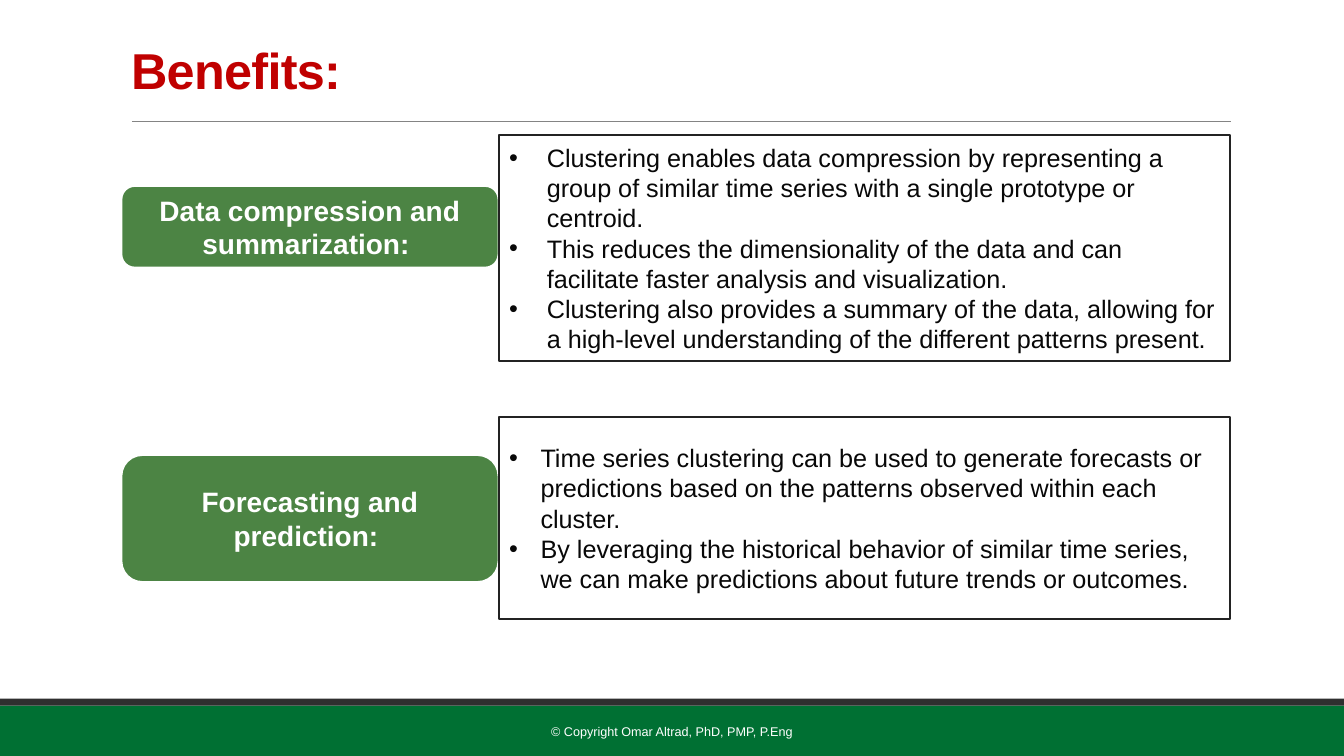
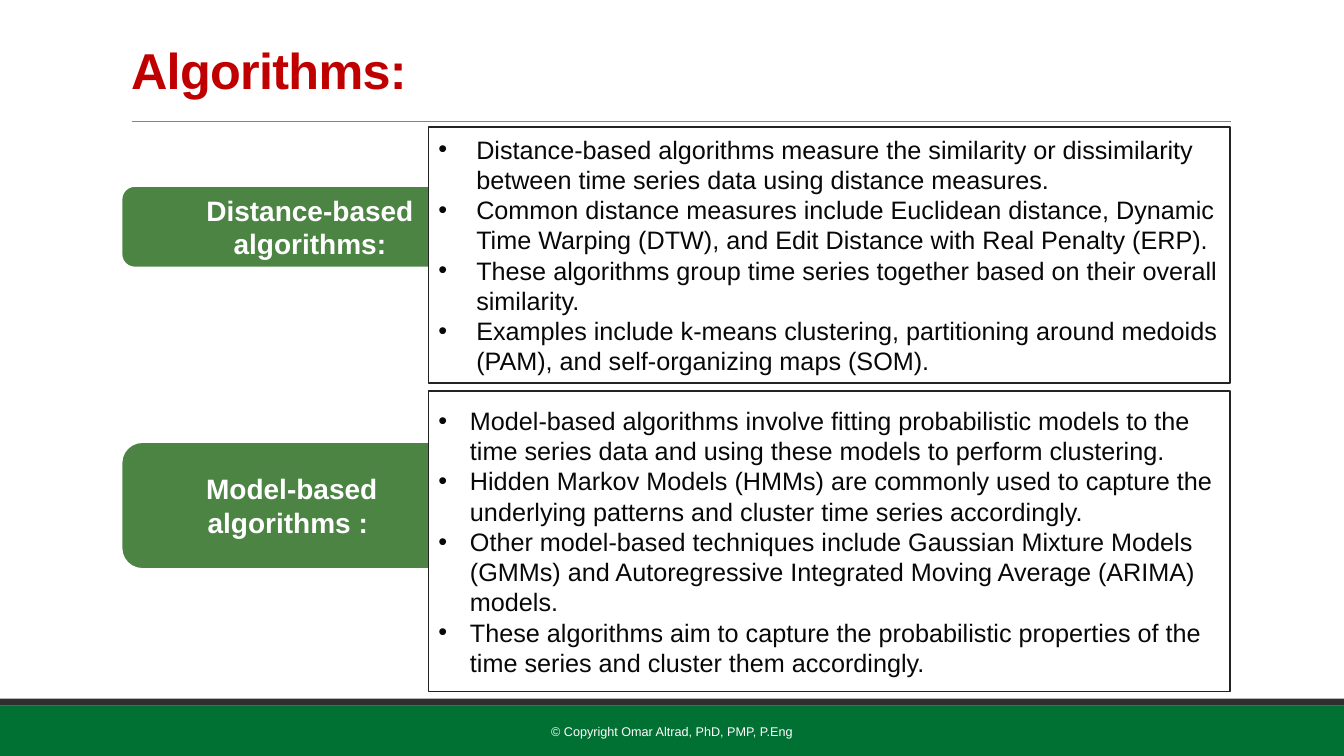
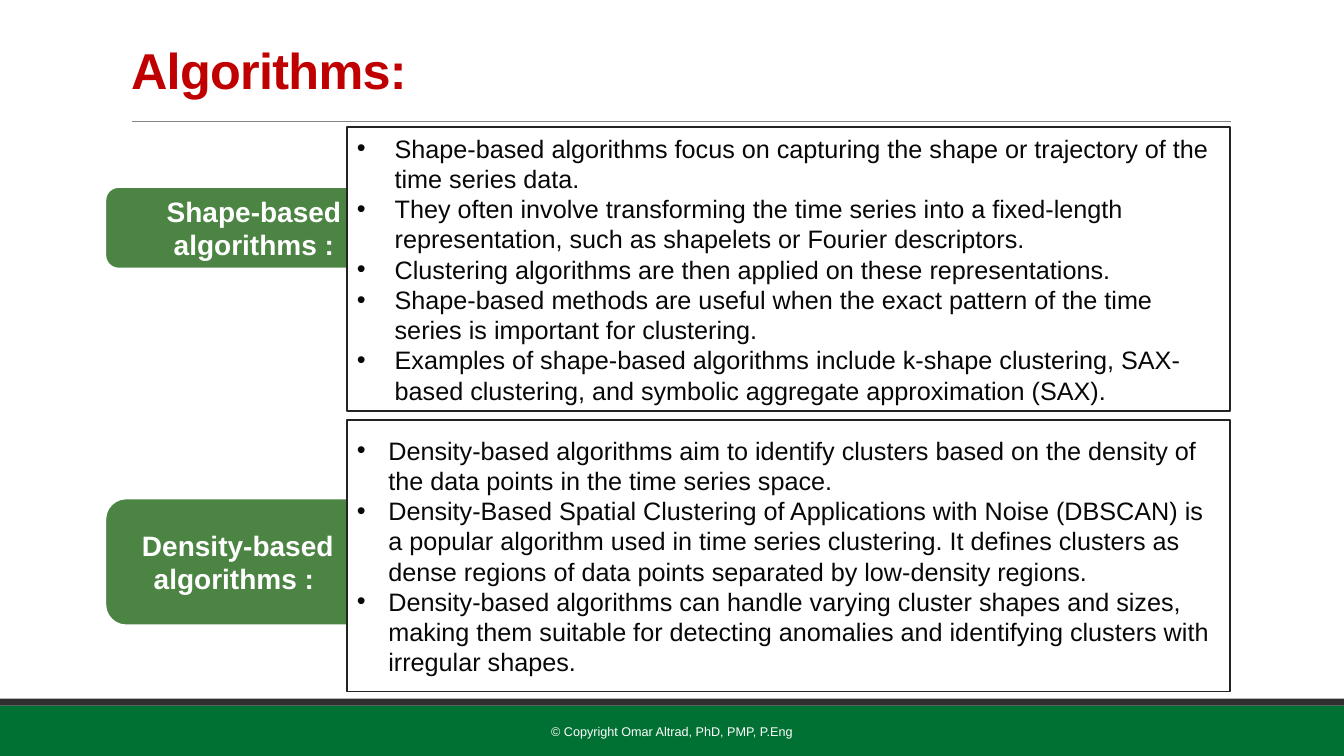
"""Build three slides on the benefits and algorithms of time series clustering."""
from dataclasses import dataclass

from lxml import etree
from pptx import Presentation
from pptx.dml.color import RGBColor
from pptx.enum.shapes import MSO_CONNECTOR, MSO_SHAPE
from pptx.enum.text import MSO_ANCHOR, MSO_AUTO_SIZE, PP_ALIGN
from pptx.oxml.ns import qn
from pptx.util import Pt

RECT, ROUND = MSO_SHAPE.RECTANGLE, MSO_SHAPE.ROUNDED_RECTANGLE
LINE = MSO_CONNECTOR.STRAIGHT
MIDDLE, NO_FIT = MSO_ANCHOR.MIDDLE, MSO_AUTO_SIZE.NONE
LEFT, CENTER = PP_ALIGN.LEFT, PP_ALIGN.CENTER
TWO_LISTS = 3


@dataclass(frozen=True)
class Theme:
    font: str = "Arial"
    red: str = "C00000"
    green: str = "007033"
    leaf: str = "4C8444"
    dark: str = "2F2F2F"
    edge: str = "232323"
    gray: str = "848484"
    ink: str = "080808"
    white: str = "FFFFFF"
    title: int = 36
    label: int = 20
    body: int = 18
    foot: int = 9


@dataclass(frozen=True)
class Panel:
    label: str
    top: float
    width: float
    list_top: float
    list_height: float
    points: tuple


@dataclass(frozen=True)
class Page:
    title: str
    label_left: float
    list_left: float
    panels: tuple


THEME = Theme()
WIDTH, HEIGHT = 960, 540
RIGHT = 878.4
TITLE_AREA = 86.4, 22.3, 792, 61.9
FOOT_AREA = 290.2, 508.3, 379.4, 28.8
LABEL_HEIGHTS = 59, 91.4
INDENTS = 27, 22.5
FOOT = "© Copyright Omar Altrad, PhD, PMP, P.Eng"

PAGES = (
    Page("Benefits:", 86.4, 356.4, (
        Panel("Data compression and summarization: ", 132.5, 270, 96.5, 161.3, (
            "Clustering enables data compression by representing a group of similar time series with a single prototype or centroid.",
            "This reduces the dimensionality of the data and can facilitate faster analysis and visualization.",
            "Clustering also provides a summary of the data, allowing for a high-level understanding of the different patterns present.",
        )),
        Panel("Forecasting and prediction: ", 324.7, 270, 298.1, 144, (
            "Time series clustering can be used to generate forecasts or predictions based on the patterns observed within each cluster.",
            "By leveraging the historical behavior of similar time series, we can make predictions about future trends or outcomes.",
        )),
    )),
    Page("Algorithms:", 86.4, 306, (
        Panel("Distance-based algorithms:", 132.5, 270, 90.7, 182.9, (
            "Distance-based algorithms measure the similarity or dissimilarity between time series data using distance measures.",
            "Common distance measures include Euclidean distance, Dynamic Time Warping (DTW), and Edit Distance with Real Penalty (ERP).",
            "These algorithms group time series together based on their overall similarity.",
            "Examples include k-means clustering, partitioning around medoids (PAM), and self-organizing maps (SOM).",
        )),
        Panel("Model-based algorithms : ", 315.4, 244.1, 279.4, 214.6, (
            "Model-based algorithms involve fitting probabilistic models to the time series data and using these models to perform clustering.",
            "Hidden Markov Models (HMMs) are commonly used to capture the underlying patterns and cluster time series accordingly.",
            "Other model-based techniques include Gaussian Mixture Models (GMMs) and Autoregressive Integrated Moving Average (ARIMA) models.",
            "These algorithms aim to capture the probabilistic properties of the time series and cluster them accordingly.",
        )),
    )),
    Page("Algorithms:", 74.9, 247.7, (
        Panel("Shape-based algorithms :", 133.2, 213.1, 90.7, 203, (
            "Shape-based algorithms focus on capturing the shape or trajectory of the time series data.",
            "They often involve transforming the time series into a fixed-length representation, such as shapelets or Fourier descriptors.",
            "Clustering algorithms are then applied on these representations.",
            "Shape-based methods are useful when the exact pattern of the time series is important for clustering.",
            "Examples of shape-based algorithms include k-shape clustering, SAX-based clustering, and symbolic aggregate approximation (SAX).",
        )),
        Panel("Density-based algorithms : ", 355.7, 190.1, 300.2, 193.7, (
            "Density-based algorithms aim to identify clusters based on the density of the data points in the time series space.",
            "Density-Based Spatial Clustering of Applications with Noise (DBSCAN) is a popular algorithm used in time series clustering. It defines clusters as dense regions of data points separated by low-density regions.",
            "Density-based algorithms can handle varying cluster shapes and sizes, making them suitable for detecting anomalies and identifying clusters with irregular shapes.",
        )),
    )),
)


def rgb(code):
    """Turn a hex code into a colour."""
    return RGBColor.from_string(code)


def write(shape, *lines, size, color, bold=False, align=LEFT,
          indent=0, space=1.0, track=0):
    """Fill a shape with one paragraph per line of text."""
    frame = shape.text_frame
    frame.word_wrap = True
    frame.auto_size = NO_FIT
    frame.vertical_anchor = MIDDLE
    for i, line in enumerate(lines):
        para = frame.add_paragraph() if i else frame.paragraphs[0]
        para.alignment = align
        para.line_spacing = space
        para.space_before = Pt(0)
        if indent:
            props = para._p.get_or_add_pPr()
            props.set("marL", str(Pt(indent)))
            props.set("indent", str(-Pt(indent)))
        run = para.add_run()
        run.text = line
        font = run.font
        font.name, font.size, font.bold = THEME.font, Pt(size), bold
        font.color.rgb = rgb(color)
        if track:
            run._r.get_or_add_rPr().set("spc", str(round(track * 100)))


def place(shape, area):
    """Move and size a shape."""
    shape.left, shape.top, shape.width, shape.height = map(Pt, area)


def paint(shape, fill, edge=None, weight=0):
    """Set the fill and the outline of a shape."""
    shape.fill.solid()
    shape.fill.fore_color.rgb = rgb(fill)
    if edge:
        shape.line.color.rgb = rgb(edge)
        shape.line.width = Pt(weight)
    else:
        shape.line.fill.background()


def block(slide, kind, area, fill, edge=None, weight=0):
    """Add a flat preset shape."""
    shape = slide.shapes.add_shape(kind, *map(Pt, area))
    shape.shadow.inherit = False
    paint(shape, fill, edge, weight)
    return shape


def rule(slide, ends, color, weight):
    """Add a flat straight line."""
    line = slide.shapes.add_connector(LINE, *map(Pt, ends))
    line.line.color.rgb = rgb(color)
    line.line.width = Pt(weight)
    etree.SubElement(line.element.spPr, qn("a:effectLst"))
    return line


def frame_up(layout, slide):
    """Give the layout its title place, bands and rule, drawn by way of a slide."""
    for holder in list(layout.placeholders)[3:]:
        holder.element.getparent().remove(holder.element)
    place(layout.placeholders[0], TITLE_AREA)
    parts = (
        block(slide, RECT, (0, 504, WIDTH, 36), THEME.green),
        block(slide, RECT, (0, 499, WIDTH, 5), THEME.dark),
        rule(slide, (94.3, 86.4, 879.1, 86.4), THEME.gray, 0.5),
    )
    for part in parts:
        layout.shapes.element.append(part.element)


def add_panel(slide, page, panel, box, height, indent):
    """Set a bullet list in its box, with a label tucked behind it."""
    place(box, (page.list_left, panel.list_top,
                RIGHT - page.list_left, panel.list_height))
    paint(box, THEME.white, THEME.edge, 1.25)
    write(box, *panel.points, size=THEME.body, color=THEME.ink, indent=indent)
    area = page.label_left, panel.top, panel.width, height
    label = block(slide, ROUND, area, THEME.leaf, THEME.white, 2)
    write(label, panel.label, size=THEME.label, color=THEME.white,
          bold=True, align=CENTER)
    box.element.addprevious(label.element)


def fill_page(slide, page):
    """Add the title, footer and panels of one page."""
    title, *boxes = slide.placeholders
    write(title, page.title, size=THEME.title, color=THEME.red,
          bold=True, space=0.85, track=-0.5)
    foot = slide.shapes.add_textbox(*map(Pt, FOOT_AREA))
    write(foot, FOOT, size=THEME.foot, color=THEME.white, align=CENTER)
    for args in zip(page.panels, boxes, LABEL_HEIGHTS, INDENTS):
        add_panel(slide, page, *args)


def main():
    """Build and save the deck."""
    deck = Presentation()
    deck.slide_width, deck.slide_height = Pt(WIDTH), Pt(HEIGHT)
    layout = deck.slide_layouts[TWO_LISTS]
    slides = [deck.slides.add_slide(layout) for _ in PAGES]
    frame_up(layout, slides[0])
    for slide, page in zip(slides, PAGES):
        fill_page(slide, page)
    deck.save("out.pptx")


if __name__ == "__main__":
    main()
